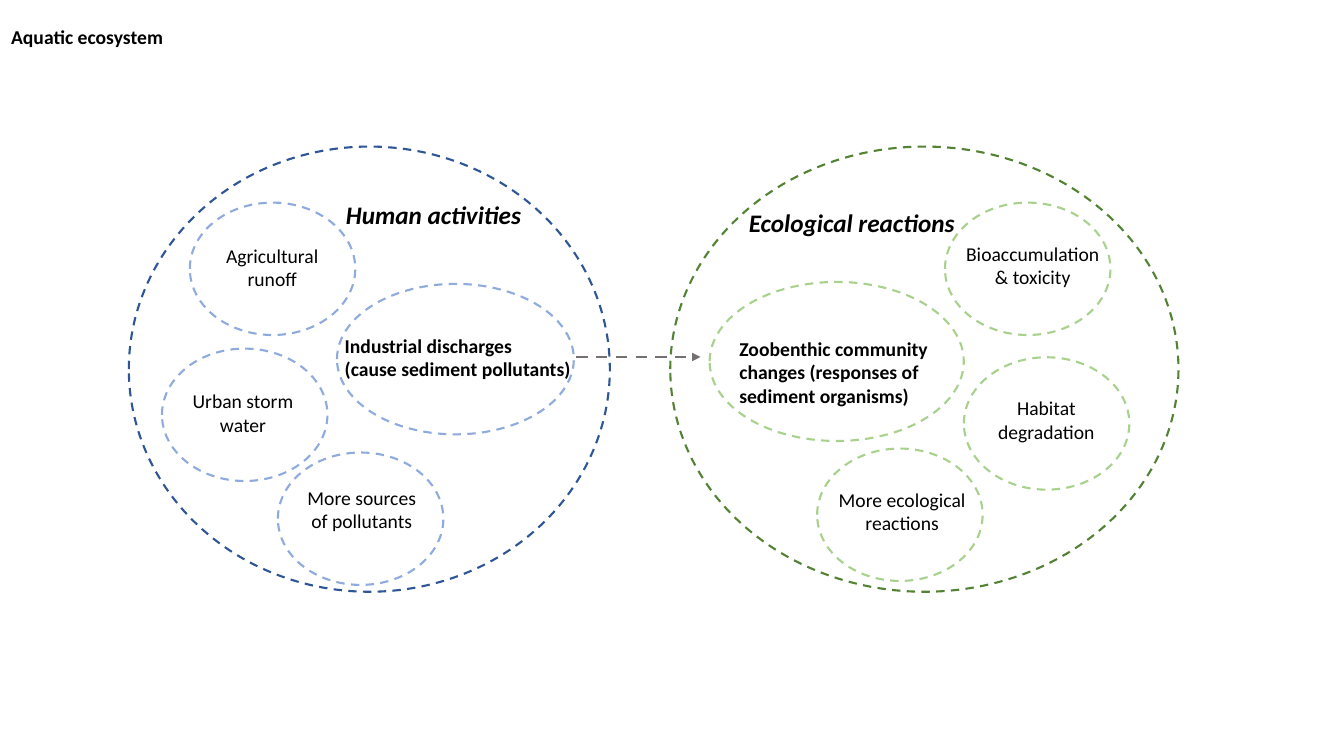
from lxml.etree import SubElement
from pptx import Presentation
from pptx.dml.color import RGBColor
from pptx.enum.dml import MSO_LINE
from pptx.enum.shapes import MSO_CONNECTOR, MSO_SHAPE
from pptx.enum.text import MSO_ANCHOR, MSO_AUTO_SIZE, PP_ALIGN
from pptx.oxml.ns import qn
from pptx.util import Pt

FONT = "Calibri"
BLACK, WHITE, GRAY = "000000", "FFFFFF", "767171"
BLUE, SKY = "2F5597", "8FAADC"
GREEN, LIME = "548235", "A9D18E"
SIDE = (118.2, 94.6)  # size of each small bubble


def color(code):
    return RGBColor.from_string(code)


def dash(line, code, width):
    line.color.rgb = color(code)
    line.width = Pt(width)
    line.dash_style = MSO_LINE.DASH


def place(shape, box):
    shape.left, shape.top, shape.width, shape.height = map(Pt, box)


def write(shape, lines, size=14, bold=False, slant=False, align=PP_ALIGN.LEFT):
    frame = shape.text_frame
    frame.word_wrap = True
    frame.auto_size = MSO_AUTO_SIZE.SHAPE_TO_FIT_TEXT
    frame.vertical_anchor = MSO_ANCHOR.TOP
    frame.margin_left = frame.margin_right = Pt(7.2)
    frame.margin_top = frame.margin_bottom = Pt(3.6)
    for i, line in enumerate(lines):
        para = frame.add_paragraph() if i else frame.paragraphs[0]
        para.alignment = align
        para.line_spacing = 1.0
        run = para.add_run()
        run.text = line
        font = run.font
        font.name, font.size = FONT, Pt(size)
        font.bold, font.italic = bold, slant
        font.color.rgb = color(BLACK)


def label(slide, box, *lines, **style):
    write(slide.shapes.add_textbox(*map(Pt, box)), lines, **style)


def oval(slide, box, code):
    shape = slide.shapes.add_shape(MSO_SHAPE.OVAL, *map(Pt, box))
    shape.shadow.inherit = False
    shape.fill.solid()
    shape.fill.fore_color.rgb = color(WHITE)
    dash(shape.line, code, 1.5)


def bubble(slide, spot, code, box, text):
    oval(slide, spot + SIDE, code)
    label(slide, box, text, align=PP_ALIGN.CENTER)


def arrow(slide, start, end):
    link = slide.shapes.add_connector(
        MSO_CONNECTOR.STRAIGHT, *map(Pt, start + end))
    dash(link.line, GRAY, 2)
    props = link.line._get_or_add_ln()
    SubElement(props, qn("a:tailEnd"), type="triangle")
    SubElement(link._element.spPr, qn("a:effectLst"))


def main():
    deck = Presentation()
    deck.slide_width, deck.slide_height = Pt(960), Pt(540)
    slide = deck.slides.add_slide(deck.slide_layouts[5])

    # Title
    title = slide.shapes.title
    place(title, (0.7, 14.4, 181.4, 24.2))
    write(title, ["Aquatic ecosystem"], bold=True)

    # Human activities
    oval(slide, (92, 104.7, 343.6, 318), BLUE)
    label(slide, (240, 139, 181.4, 29), "Human activities",
          size=18, bold=True, slant=True)
    oval(slide, (240.7, 202.8, 169.2, 107.5), SKY)
    label(slide, (239.2, 234.7, 182.9, 41), "Industrial discharges",
          "(cause sediment pollutants)", bold=True)

    # Ecological reactions
    oval(slide, (478.8, 104.7, 363, 318), GREEN)
    label(slide, (527.8, 144.7, 181.4, 29), "Ecological reactions",
          size=18, bold=True, slant=True)
    oval(slide, (506.9, 201.4, 181.6, 113.6), LIME)
    label(slide, (521, 236.9, 181.4, 58.2),
          "Zoobenthic community changes (responses of sediment organisms)",
          bold=True)

    # Small bubbles: corner, colour, label box, text
    for item in (
        ((135.6, 144.7), SKY, (150.5, 170.4, 88, 41), "Agricultural runoff"),
        ((115.7, 249), SKY, (129.6, 274.3, 88, 41), "Urban storm water"),
        ((198.5, 323.2), SKY, (209.5, 343.5, 97.9, 41),
         "More sources of pollutants"),
        ((675, 144.7), LIME, (682.6, 169.2, 110.2, 41),
         "Bioaccumulation & toxicity"),
        ((688.5, 255.2), LIME, (694.1, 279.4, 106.6, 41),
         "Habitat degradation"),
        ((583.7, 320.4), LIME, (591.1, 344.9, 106.6, 41),
         "More ecological reactions"),
    ):
        bubble(slide, *item)

    # Link from cause to response
    arrow(slide, (411.8, 255), (500.4, 255))

    deck.save("out.pptx")


if __name__ == "__main__":
    main()
